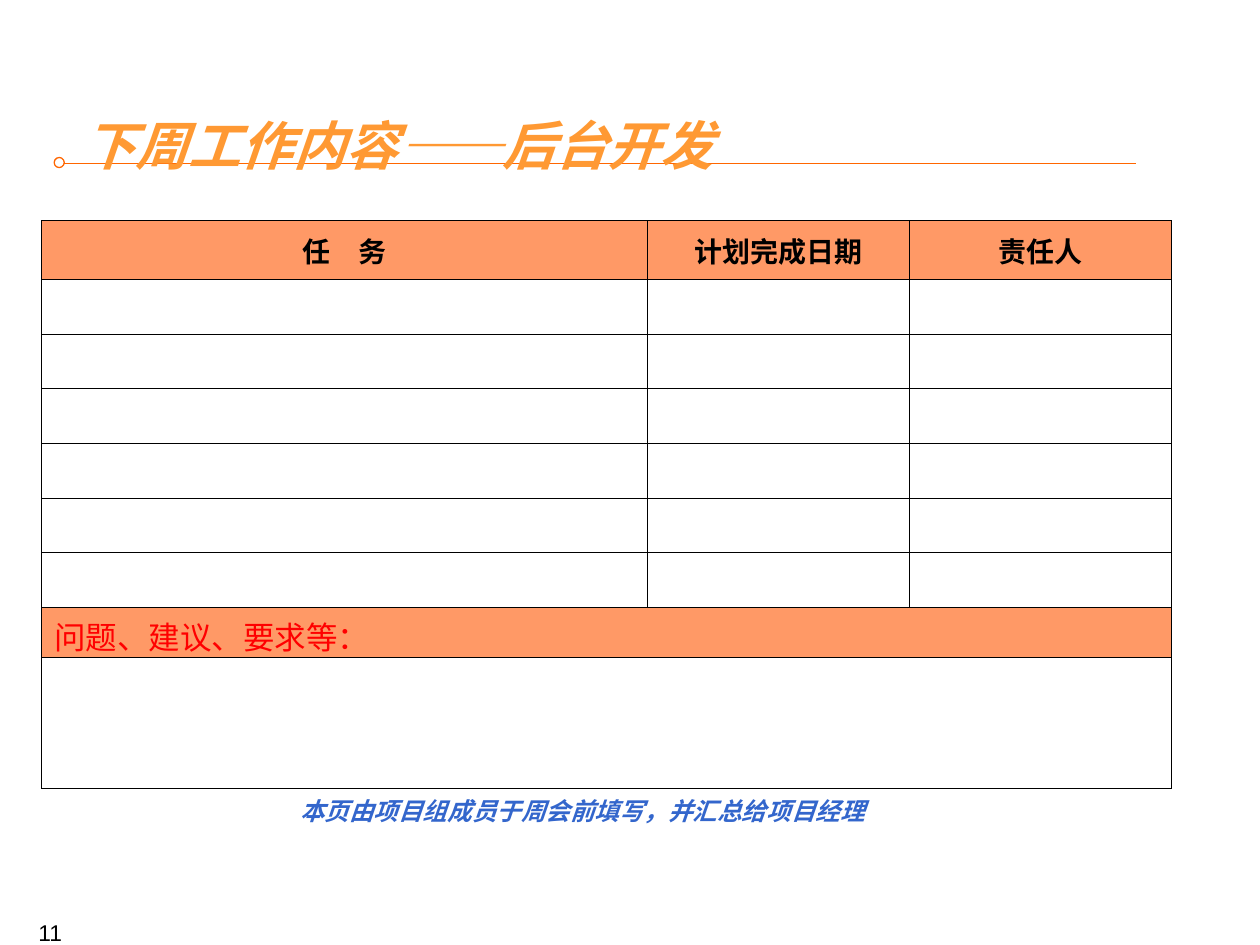
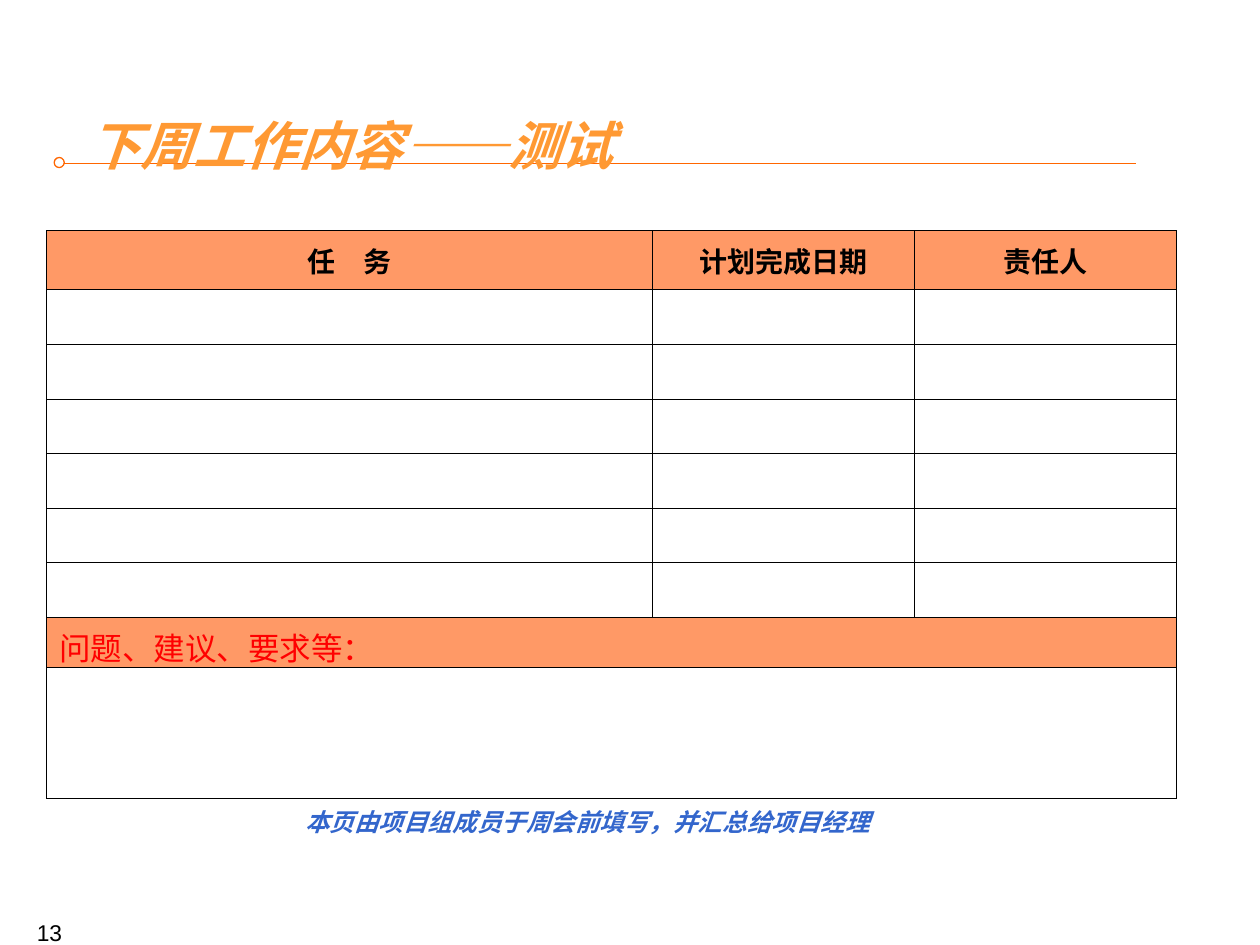
from dataclasses import dataclass

from lxml import etree
from pptx import Presentation
from pptx.dml.color import RGBColor
from pptx.enum import shapes, text
from pptx.oxml.ns import qn
from pptx.util import Inches, Pt

# Shared colours, fonts and wording
ORANGE = RGBColor(0xFF, 0x99, 0x33)
RULE = RGBColor(0xFF, 0x66, 0x00)
BAND = RGBColor(0xFF, 0x99, 0x66)
BLUE = RGBColor(0x33, 0x66, 0xCC)
RED = RGBColor(0xFF, 0x00, 0x00)
BLACK = RGBColor(0x00, 0x00, 0x00)
LATIN, SERIF, CJK = "Arial", "Times New Roman", "Noto Sans CJK SC"
HEADERS = ("任　务", "计划完成日期", "责任人")
ISSUES = "问题、建议、要求等："
NOTE = "本页由项目组成员于周会前填写，并汇总给项目经理"

# Table measures
COLUMNS = (4.81, 2.08, 2.08)
TASK_ROWS = 6
ROWS = (0.47, *[2.6 / TASK_ROWS] * TASK_ROWS, 0.4, 1.04)
ISSUE_ROW = TASK_ROWS + 1


@dataclass(frozen=True)
class PlanPage:
    team: str
    number: int
    dx: float = 0
    dy: float = 0


@dataclass(frozen=True)
class Style:
    size: float
    color: RGBColor
    font: str = LATIN
    bold: bool = False
    italic: bool = False
    align: text.PP_ALIGN = text.PP_ALIGN.LEFT
    spacing: float = 1.0


TITLE = Style(30, ORANGE, bold=True, italic=True, spacing=1.35)
NUMBER = Style(13, BLACK, align=text.PP_ALIGN.RIGHT)
HEADER = Style(16, BLACK, SERIF, bold=True, align=text.PP_ALIGN.CENTER)
ISSUE = Style(18, RED, CJK)
FOOTNOTE = Style(14, BLUE, bold=True, italic=True,
                 align=text.PP_ALIGN.CENTER, spacing=1.35)

PAGES = (PlanPage("后台开发", 11), PlanPage("测试", 13, dx=0.04, dy=0.08))


def write(tf, words: str, style: Style) -> None:
    tf.text = words
    p = tf.paragraphs[0]
    p.alignment, p.line_spacing = style.align, style.spacing
    r = p.runs[0]
    r.font.size, r.font.name = Pt(style.size), style.font
    r.font.bold, r.font.italic = style.bold, style.italic
    r.font.color.rgb = style.color
    latin = r.font._element.find(qn("a:latin"))
    ea = etree.Element(qn("a:ea"), typeface=CJK)
    latin.addnext(ea)


def add_text(slide, box: tuple[float, ...], words: str, style: Style):
    sp = slide.shapes.add_textbox(*map(Inches, box))
    tf = sp.text_frame
    tf.word_wrap = True
    write(tf, words, style)
    return sp


def add_title(slide, page: PlanPage) -> None:
    sp = slide.shapes.title
    sp.left, sp.top = Inches(0.56 + page.dx), Inches(0.75)
    sp.width, sp.height = Inches(8.51), Inches(0.62)
    tf = sp.text_frame
    tf.word_wrap = True
    tf.auto_size = text.MSO_AUTO_SIZE.NONE
    tf.vertical_anchor = text.MSO_ANCHOR.MIDDLE
    write(tf, f"下周工作内容——{page.team}", TITLE)


def add_rule(slide) -> None:
    """Draw the circle and line that run behind the title."""
    line = slide.shapes.add_connector(
        shapes.MSO_CONNECTOR.STRAIGHT,
        Inches(0.51), Inches(1.3), Inches(9.02), Inches(1.3))
    etree.SubElement(line.element.spPr, qn("a:effectLst"))
    ring = slide.shapes.add_shape(
        shapes.MSO_SHAPE.OVAL,
        Inches(0.43), Inches(1.25), Inches(0.08), Inches(0.08))
    ring.shadow.inherit = False
    ring.fill.background()
    for sp in (line, ring):
        sp.line.color.rgb = RULE
        sp.line.width = Pt(0.75)
        slide.shapes.title.element.addprevious(sp.element)


def add_borders(cell) -> None:
    tc_pr = cell._tc.get_or_add_tcPr()
    for side in ("lnL", "lnR", "lnT", "lnB"):
        ln = etree.SubElement(tc_pr, qn(f"a:{side}"), w=str(Pt(0.45)))
        fill = etree.SubElement(ln, qn("a:solidFill"))
        etree.SubElement(fill, qn("a:srgbClr"), val=str(BLACK))


def add_plan_table(slide, page: PlanPage) -> None:
    table = slide.shapes.add_table(
        len(ROWS), len(COLUMNS), Inches(0.33 + page.dx), Inches(1.75 + page.dy),
        Inches(sum(COLUMNS)), Inches(sum(ROWS))).table
    table.first_row = table.horz_banding = False
    for column, width in zip(table.columns, COLUMNS):
        column.width = Inches(width)
    for i, (row, height) in enumerate(zip(table.rows, ROWS)):
        row.height = Inches(height)
        for cell in row.cells:
            add_borders(cell)
            if i in (0, ISSUE_ROW):
                cell.fill.solid()
                cell.fill.fore_color.rgb = BAND
            else:
                cell.fill.background()

    # Header row
    for cell, words in zip(table.rows[0].cells, HEADERS):
        cell.vertical_anchor = text.MSO_ANCHOR.MIDDLE
        write(cell.text_frame, words, HEADER)

    # Full-width rows for issues
    for i in (ISSUE_ROW, ISSUE_ROW + 1):
        table.cell(i, 0).merge(table.cell(i, len(COLUMNS) - 1))
    write(table.cell(ISSUE_ROW, 0).text_frame, ISSUES, ISSUE)


def add_page(prs, page: PlanPage) -> None:
    slide = prs.slides.add_slide(prs.slide_layouts[5])
    add_title(slide, page)
    add_rule(slide)
    add_text(slide, (0, 7.24, 0.59, 0.26), str(page.number), NUMBER)
    add_plan_table(slide, page)
    note = add_text(slide, (0.5 + page.dx, 6.19 + page.dy, 8.25, 0.42),
                    NOTE, FOOTNOTE)
    note.text_frame.auto_size = text.MSO_AUTO_SIZE.SHAPE_TO_FIT_TEXT


def main() -> None:
    prs = Presentation()
    prs.slide_width, prs.slide_height = Inches(10), Inches(7.5)
    for page in PAGES:
        add_page(prs, page)
    prs.save("out.pptx")


if __name__ == "__main__":
    main()
